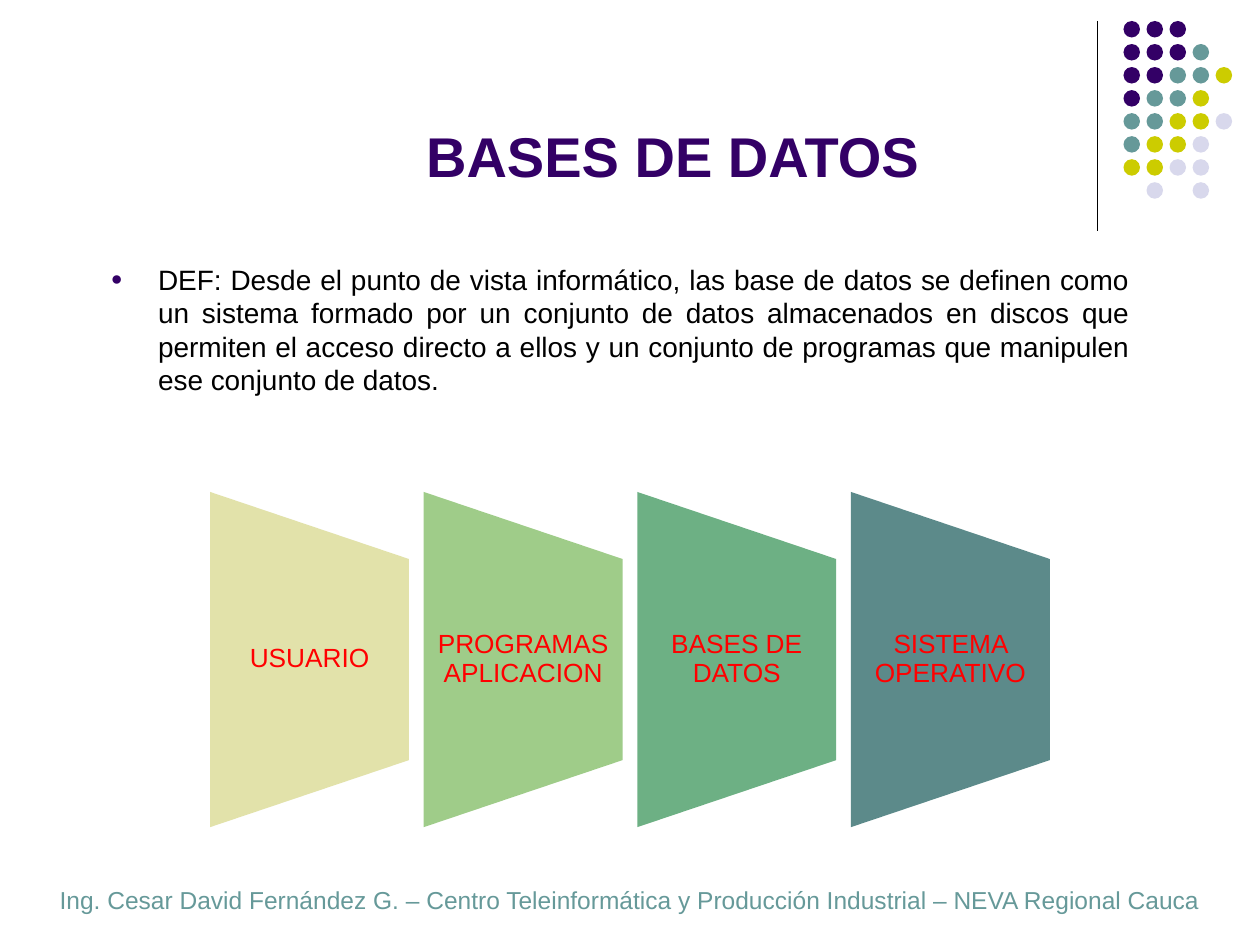
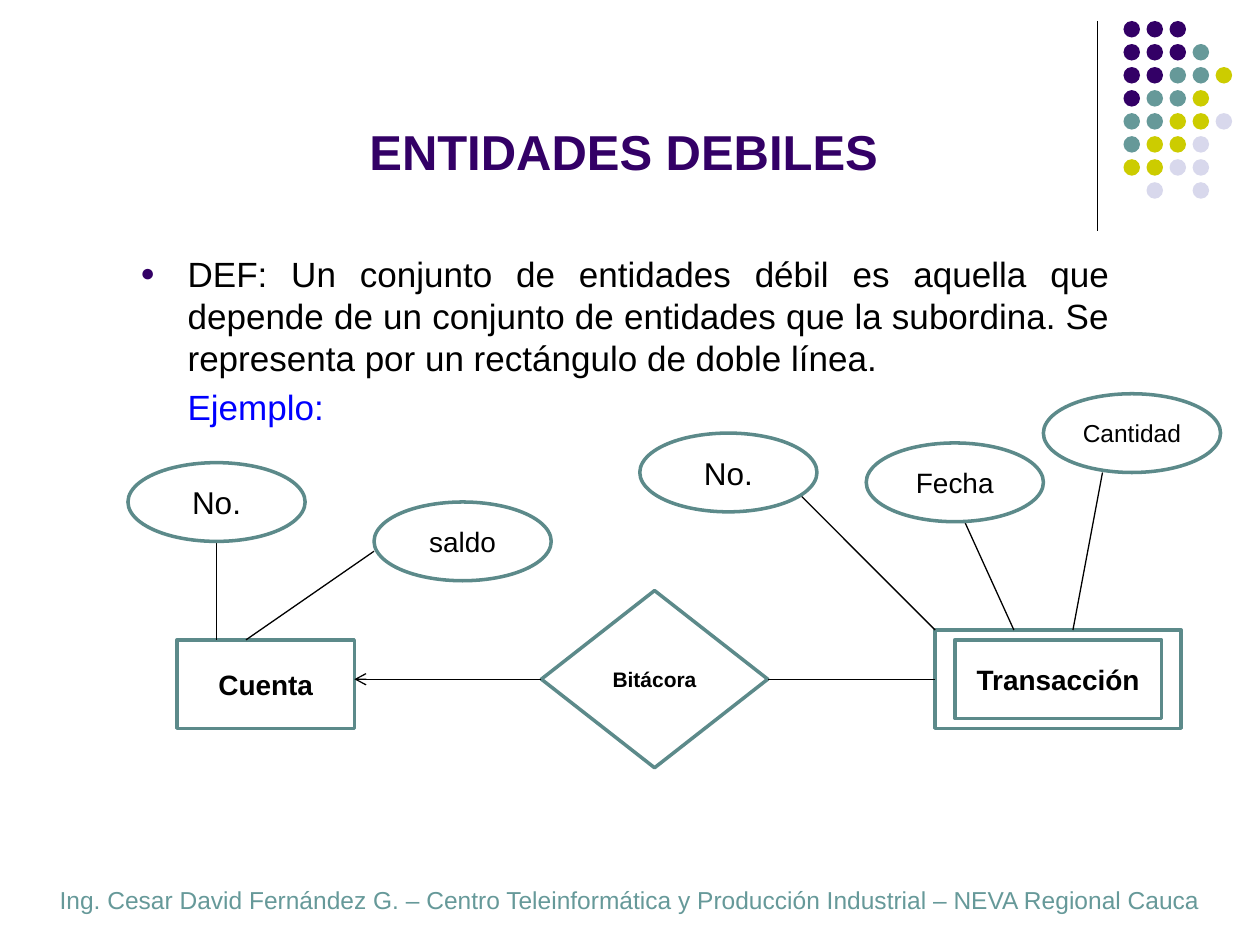
from pptx import Presentation
from pptx.dml.color import RGBColor
from pptx.enum.shapes import MSO_CONNECTOR, MSO_SHAPE
from pptx.enum.text import MSO_ANCHOR, PP_ALIGN
from pptx.oxml.ns import qn
from pptx.util import Inches, Pt
from lxml.etree import SubElement

# The slide is a grid of 128 columns by 96 rows of square cells.
COLUMNS = 128
WIDTH, HEIGHT = Inches(10), Inches(7.5)
FONT = "Arial"

PURPLE = RGBColor(0x33, 0x00, 0x66)
TEAL = RGBColor(0x66, 0x99, 0x99)
OLIVE = RGBColor(0xCC, 0xCC, 0x00)
LAVENDER = RGBColor(0xD8, 0xD8, 0xEC)
DARK_TEAL = RGBColor(0x5C, 0x8A, 0x8A)
SAND = RGBColor(0xE2, 0xE2, 0xAA)
LIGHT_GREEN = RGBColor(0x9F, 0xCC, 0x89)
GREEN = RGBColor(0x6D, 0xB0, 0x84)
BLACK = RGBColor(0x00, 0x00, 0x00)
WHITE = RGBColor(0xFF, 0xFF, 0xFF)
RED = RGBColor(0xFF, 0x00, 0x00)
BLUE = RGBColor(0x00, 0x00, 0xFF)

DOT_COLOURS = {"P": PURPLE, "T": TEAL, "O": OLIVE, "L": LAVENDER}
DOT_ROWS = ["PPP", "PPPT", "PPTTO", "PTTO", "TTOOL", "TOOL", "OOLL", " L L"]
FOOTER = ("Ing. Cesar David Fernández G. – Centro Teleinformática y "
          "Producción Industrial – NEVA Regional Cauca")


def cells(count):
    """Turn a number of grid cells into a length."""
    return round(WIDTH * count / COLUMNS)


def write(para, text, size=16, colour=BLACK, bold=False,
          align=PP_ALIGN.CENTER, line_spacing=None, before=0):
    """Put formatted text in a paragraph."""
    para.alignment = align
    para.space_before = Pt(before)
    if line_spacing:
        para.line_spacing = line_spacing
    span = para.add_run()
    span.text = text
    span.font.name = FONT
    span.font.size = Pt(size)
    span.font.bold = bold
    span.font.color.rgb = colour


def indent(para, bullet=False):
    """Indent a paragraph, with a hanging bullet if asked."""
    margin = Inches(0.375)
    properties = para._p.get_or_add_pPr()
    properties.set("marL", str(margin))
    properties.set("indent", str(-margin if bullet else 0))
    if bullet:
        colour = SubElement(properties, qn("a:buClr"))
        SubElement(colour, qn("a:srgbClr"), val=str(PURPLE))
        SubElement(properties, qn("a:buSzPct"), val="70000")
        SubElement(properties, qn("a:buFont"), typeface=FONT)
        SubElement(properties, qn("a:buChar"), char="●")


class Painter:
    """Holds the deck's style and the slide being drawn."""

    def __init__(self, deck):
        """Keep the deck."""
        self.deck = deck
        self.page = None

    def new_page(self, title, title_area, title_size):
        """Start a slide with the shared ornament, footer and title."""
        self.page = self.deck.slides.add_slide(self.deck.slide_layouts[6])
        self.line((111.5, 2.13), (111.5, 23.46))
        pitch, size = 2.34, 1.68
        for row, letters in enumerate(DOT_ROWS):
            for column, letter in enumerate(letters):
                if letter in DOT_COLOURS:
                    area = (114.13 + column * pitch, 2.13 + row * pitch, size, size)
                    self.shape(MSO_SHAPE.OVAL, area, fill=DOT_COLOURS[letter])
        self.text((2.5, 89.3, 123, 4.1), FOOTER, size=14, colour=TEAL)
        self.text(title_area, title, anchor=MSO_ANCHOR.BOTTOM,
                  size=title_size, colour=PURPLE, bold=True)

    def frame(self, area, anchor=MSO_ANCHOR.TOP):
        """Add an empty wrapping text box and return its text frame."""
        box = self.page.shapes.add_textbox(*map(cells, area))
        box.text_frame.word_wrap = True
        box.text_frame.vertical_anchor = anchor
        return box.text_frame

    def text(self, area, text, anchor=MSO_ANCHOR.TOP, **style):
        """Add a text box with one paragraph."""
        write(self.frame(area, anchor).paragraphs[0], text, **style)

    def definition(self, area, text, size, example=None):
        """Add a bulleted definition and an optional example heading."""
        frame = self.frame(area)
        write(frame.paragraphs[0], text, size=size, align=PP_ALIGN.JUSTIFY)
        indent(frame.paragraphs[0], bullet=True)
        if example:
            para = frame.add_paragraph()
            write(para, example, size=size, colour=BLUE,
                  align=PP_ALIGN.JUSTIFY, before=size * 0.2)
            indent(para)

    def shape(self, kind, area, fill=WHITE, outline=None, text=None, **style):
        """Add a preset shape, with an outline and text if given."""
        shape = self.page.shapes.add_shape(kind, *map(cells, area))
        shape.shadow.inherit = False
        shape.fill.solid()
        shape.fill.fore_color.rgb = fill
        if outline:
            shape.line.color.rgb = outline
            shape.line.width = Pt(2)
        else:
            shape.line.fill.background()
        if text:
            shape.text_frame.word_wrap = True
            shape.text_frame.vertical_anchor = MSO_ANCHOR.MIDDLE
            write(shape.text_frame.paragraphs[0], text, **style)
        return shape

    def node(self, kind, area, text=None, **style):
        """Add an outlined element of an entity diagram."""
        self.shape(kind, area, outline=DARK_TEAL, text=text, **style)

    def stage(self, centre, middle, label, fill):
        """Add a trapezoid narrowing to the right, with its label."""
        length, depth = 34.05, 20.2
        trapezoid = self.shape(
            MSO_SHAPE.FLOWCHART_MANUAL_OPERATION,
            (centre - length / 2, middle - depth / 2, length, depth), fill=fill)
        trapezoid.rotation = 270
        self.text((centre - depth / 2, middle - depth / 2, depth, depth), label,
                  anchor=MSO_ANCHOR.MIDDLE, size=15, colour=RED, line_spacing=0.9)

    def line(self, start, end, arrow=False):
        """Add a thin black line, with an arrowhead at its end if asked."""
        line = self.page.shapes.add_connector(
            MSO_CONNECTOR.STRAIGHT, *map(cells, start + end))
        line.line.color.rgb = BLACK
        line.line.width = Pt(0.75)
        if arrow:
            SubElement(line.line._get_or_add_ln(), qn("a:tailEnd"), type="arrow")
        SubElement(line._element.spPr, qn("a:effectLst"))


def draw_databases(painter):
    """Draw the slide that defines databases."""
    painter.new_page("BASES DE DATOS", (24.7, 1.7, 87.3, 18.1), 32)
    painter.definition(
        (10, 26, 106, 23),
        "DEF: Desde el punto de vista informático, las base de datos se definen "
        "como un sistema formado por un conjunto de datos almacenados en discos "
        "que permiten el acceso directo a ellos y un conjunto de programas que "
        "manipulen ese conjunto de datos.", 16)
    stages = [("USUARIO", SAND), ("PROGRAMAS APLICACION", LIGHT_GREEN),
              ("BASES DE DATOS", GREEN), ("SISTEMA OPERATIVO", DARK_TEAL)]
    for index, (label, fill) in enumerate(stages):
        painter.stage(31.45 + index * 21.7, 67, label, fill)


def draw_weak_entities(painter):
    """Draw the slide that defines weak entities, with its diagram."""
    painter.new_page("ENTIDADES DEBILES", (24.7, 5, 77.3, 14), 28)
    painter.definition(
        (13, 25, 101, 62),
        "DEF: Un conjunto de entidades débil es aquella que depende de un "
        "conjunto de entidades que la subordina. Se representa por un "
        "rectángulo de doble línea.", 20, example="Ejemplo:")

    painter.node(MSO_SHAPE.RECTANGLE, (18, 65, 18, 9), "Cuenta", bold=True)
    painter.node(MSO_SHAPE.DIAMOND, (55, 60, 23, 18), "Bitácora", size=12, bold=True)
    painter.node(MSO_SHAPE.RECTANGLE, (95, 64, 25, 10))
    painter.node(MSO_SHAPE.RECTANGLE, (97, 65, 21, 8), "Transacción", bold=True)

    painter.line((55, 69), (36, 69), arrow=True)
    painter.line((78, 69), (95, 69))

    # Each attribute: name, text size, left and top, then its link's two ends.
    attributes = [
        ("No.", 18, (13, 47), (22, 65), (22, 55)),
        ("saldo", 16, (38, 51), (25, 65), (38, 56)),
        ("No.", 18, (65, 44), (95, 64), (81, 50)),
        ("Cantidad", 14, (106, 40), (109, 64), (112, 48)),
        ("Fecha", 16, (88, 45), (103, 64), (98, 53)),
    ]
    for name, size, corner, start, end in attributes:
        painter.line(start, end)
        painter.node(MSO_SHAPE.OVAL, corner + (18, 8), name, size=size)


def main():
    """Build and save the deck."""
    deck = Presentation()
    deck.slide_width, deck.slide_height = WIDTH, HEIGHT
    painter = Painter(deck)
    draw_databases(painter)
    draw_weak_entities(painter)
    deck.save("out.pptx")


main()
